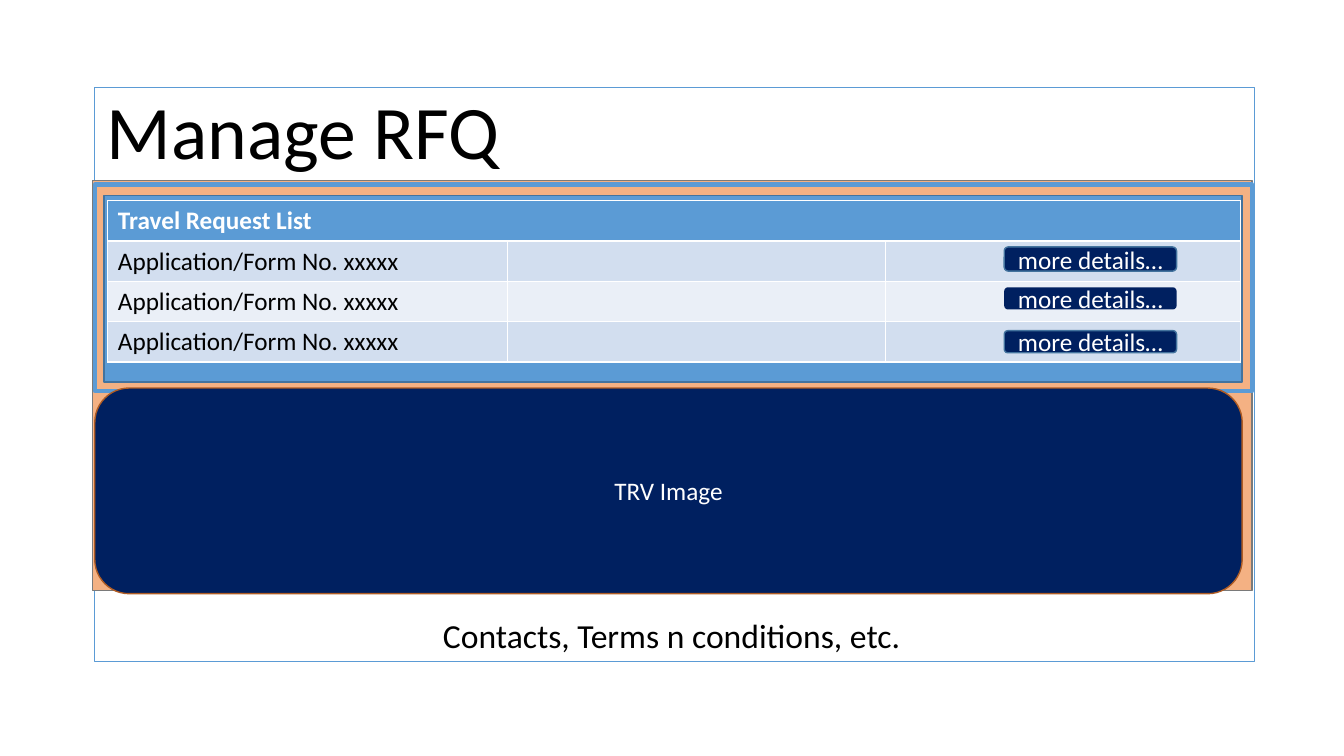
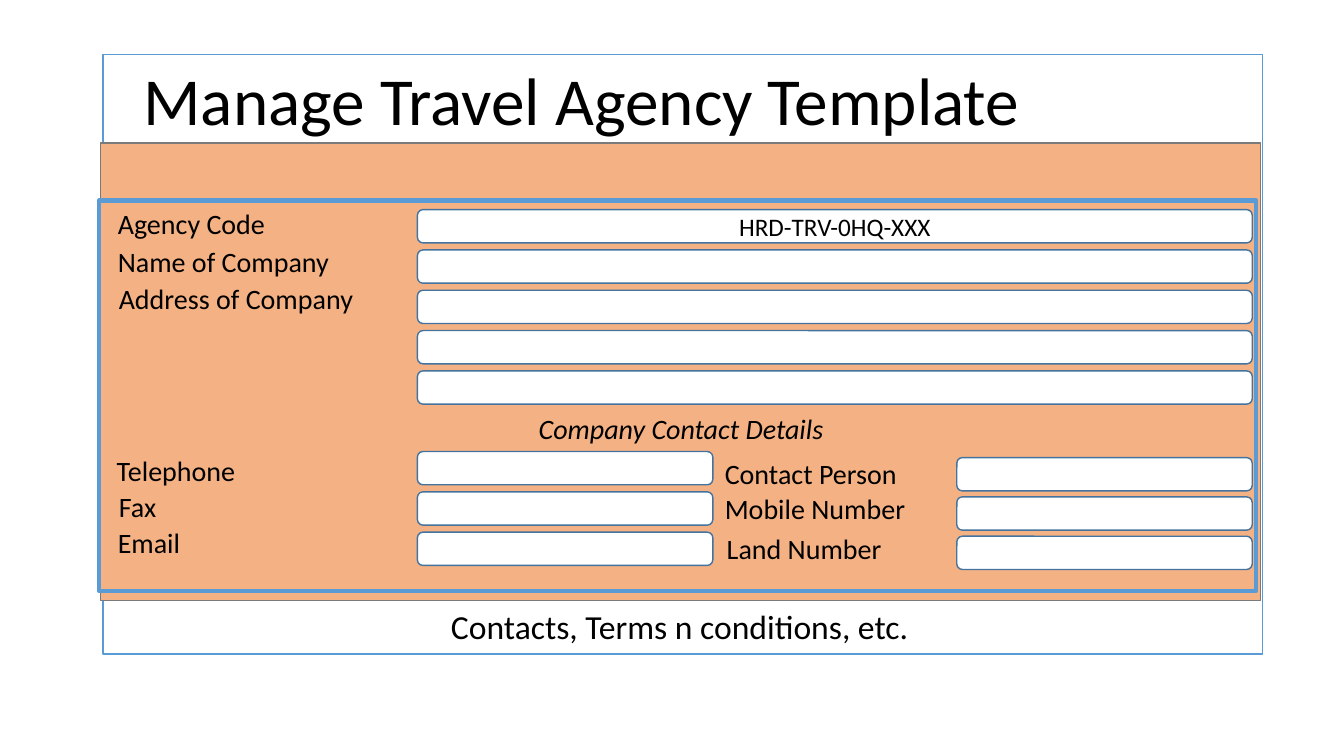
from pptx import Presentation
from pptx.dml.color import RGBColor
from pptx.enum.shapes import MSO_SHAPE
from pptx.enum.text import MSO_ANCHOR, PP_ALIGN
from pptx.util import Inches, Pt

FONT = "Calibri"
WHITE = RGBColor(0xFF, 0xFF, 0xFF)
BLACK = RGBColor(0x00, 0x00, 0x00)
BLUE = RGBColor(0x5B, 0x9B, 0xD5)
DARK_BLUE = RGBColor(0x43, 0x73, 0x9E)
NAVY = RGBColor(0x00, 0x20, 0x60)
PEACH = RGBColor(0xF4, 0xB1, 0x83)
BROWN = RGBColor(0xAF, 0x5C, 0x24)
GREY = RGBColor(0x7A, 0x7A, 0x7A)
ROW_DARK = RGBColor(0xD2, 0xDE, 0xEF)
ROW_LIGHT = RGBColor(0xEA, 0xEF, 0xF7)

RECTANGLE = MSO_SHAPE.RECTANGLE
ROUNDED = MSO_SHAPE.ROUNDED_RECTANGLE


def add_box(slide, preset, area, fill, line, line_width=1, text="", color=WHITE):
    """Draw a shape; a fill or line of None is left out."""
    shape = slide.shapes.add_shape(preset, *[Inches(length) for length in area])
    shape.shadow.inherit = False
    if fill is None:
        shape.fill.background()
    else:
        shape.fill.solid()
        shape.fill.fore_color.rgb = fill
    if line is None:
        shape.line.fill.background()
    else:
        shape.line.color.rgb = line
        shape.line.width = Pt(line_width)
    if text:
        shape.text_frame.vertical_anchor = MSO_ANCHOR.MIDDLE
        paragraph = shape.text_frame.paragraphs[0]
        paragraph.text = text
        paragraph.alignment = PP_ALIGN.CENTER
        paragraph.font.name = FONT
        paragraph.font.size = Pt(18)
        paragraph.font.color.rgb = color


def add_label(slide, area, text, size, alignment=PP_ALIGN.CENTER, italic=None):
    """Add a text box in black."""
    label = slide.shapes.add_textbox(*[Inches(length) for length in area])
    label.text_frame.word_wrap = True
    paragraph = label.text_frame.paragraphs[0]
    paragraph.text = text
    paragraph.alignment = alignment
    paragraph.font.name = FONT
    paragraph.font.size = Pt(size)
    paragraph.font.italic = italic
    paragraph.font.color.rgb = BLACK


presentation = Presentation()
presentation.slide_width = Inches(13.33)
presentation.slide_height = Inches(7.5)

# Page frame, body band, title and footer of both slides
pages = [
    ("Manage RFQ", 54, (0.94, 0.78, 4.13, 1.01),
     (0.94, 0.87, 11.5, 5.69), (0.92, 1.79, 11.5, 4.07), (0.9, 6.05, 11.52, 0.5)),
    ("Manage Travel Agency Template", 48, (1.02, 0.53, 9.5, 0.91),
     (1.02, 0.54, 11.5, 5.95), (1, 1.42, 11.5, 4.54), (0.98, 5.96, 11.52, 0.5)),
]
slides = []
for title, title_size, title_area, page_area, body_area, footer_area in pages:
    slide = presentation.slides.add_slide(presentation.slide_layouts[6])
    add_box(slide, RECTANGLE, page_area, WHITE, BLUE)
    add_box(slide, RECTANGLE, body_area, PEACH, GREY)
    add_label(slide, title_area, title, title_size)
    add_label(slide, footer_area, "Contacts, Terms n conditions, etc.", 24)
    slides.append(slide)
request_slide, agency_slide = slides

# Slide 1: request list
add_box(request_slide, RECTANGLE, (1.03, 1.94, 11.29, 1.85), BLUE, DARK_BLUE)
add_box(request_slide, RECTANGLE, (0.94, 1.83, 11.48, 2.05), None, BLUE, 3)

row_texts = ["Travel Request List"] + ["Application/Form No. xxxxx"] * 3
row_fills = [BLUE, ROW_DARK, ROW_LIGHT, ROW_DARK]
table = request_slide.shapes.add_table(
    4, 3, Inches(1.07), Inches(1.99), Inches(11.23), Inches(1.6)).table
for column, width in zip(table.columns, (3.96, 3.75, 3.52)):
    column.width = Inches(width)
for row_index, (text, fill) in enumerate(zip(row_texts, row_fills)):
    table.rows[row_index].height = Inches(0.4)
    for cell in table.rows[row_index].cells:
        cell.fill.solid()
        cell.fill.fore_color.rgb = fill
    is_header = row_index == 0
    paragraph = table.cell(row_index, 0).text_frame.paragraphs[0]
    paragraph.text = text
    paragraph.font.name = FONT
    paragraph.font.size = Pt(18)
    paragraph.font.bold = is_header
    paragraph.font.color.rgb = WHITE if is_header else BLACK
table.cell(0, 0).merge(table.cell(0, 2))

for top, height, line in ((2.45, 0.24, DARK_BLUE), (2.85, 0.22, None), (3.28, 0.22, DARK_BLUE)):
    add_box(request_slide, ROUNDED, (9.96, top, 1.71, height), NAVY, line, text="more details…")
add_box(request_slide, ROUNDED, (0.94, 3.85, 11.38, 2.04), NAVY, BROWN, text="TRV Image")

# Slide 2: agency form
form_labels = [
    ("Agency Code", 1.07, 2),
    ("Name of Company", 1.07, 2.38),
    ("Address of Company", 1.08, 2.74),
    ("Telephone", 1.06, 4.45),
    ("Fax", 1.08, 4.81),
    ("Email", 1.07, 5.16),
    ("Contact Person", 7.09, 4.48),
    ("Mobile Number", 7.09, 4.83),
    ("Land Number", 7.11, 5.22),
]
for text, left, top in form_labels:
    add_label(agency_slide, (left, top, 2.6, 0.44), text, 20, PP_ALIGN.LEFT)
add_label(agency_slide, (1.08, 4.03, 11.35, 0.44), "Company Contact Details", 20, italic=True)
add_box(agency_slide, RECTANGLE, (0.98, 1.99, 11.48, 3.87), None, BLUE, 3)

# Each group of fields: left, first top, step, width, texts
field_groups = [
    (4.14, 2.08, 0.4, 8.28, ["HRD-TRV-0HQ-XXX", "", "", "", ""]),
    (4.14, 4.48, 0.4, 2.93, [""] * 3),
    (9.49, 4.54, 0.39, 2.93, [""] * 3),
]
for left, first_top, step, width, texts in field_groups:
    for index, text in enumerate(texts):
        area = (left, first_top + index * step, width, 0.33)
        add_box(agency_slide, ROUNDED, area, WHITE, DARK_BLUE, text=text, color=BLACK)

presentation.save("out.pptx")
